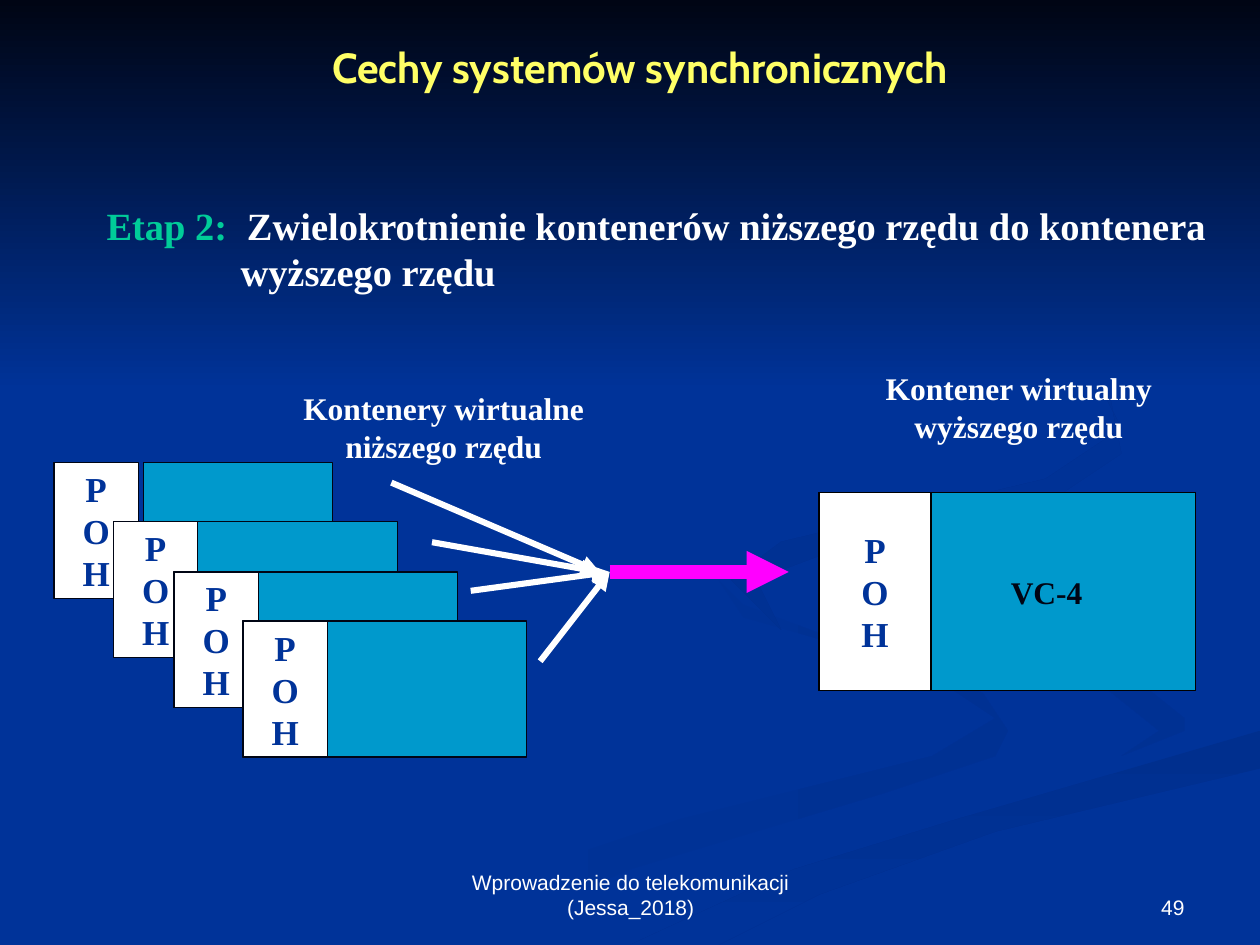
from lxml import etree
from pptx import Presentation
from pptx.dml.color import RGBColor
from pptx.enum.shapes import MSO_CONNECTOR, MSO_SHAPE
from pptx.enum.text import MSO_ANCHOR, PP_ALIGN
from pptx.oxml.ns import qn
from pptx.util import Cm, Pt

CENTER, RIGHT, JUSTIFY = PP_ALIGN.CENTER, PP_ALIGN.RIGHT, PP_ALIGN.JUSTIFY
TOP, MIDDLE, BOTTOM = MSO_ANCHOR.TOP, MSO_ANCHOR.MIDDLE, MSO_ANCHOR.BOTTOM
RECTANGLE, STRAIGHT = MSO_SHAPE.RECTANGLE, MSO_CONNECTOR.STRAIGHT

BLUE = RGBColor(0x00, 0x33, 0x99)
NIGHT = RGBColor(0x00, 0x05, 0x14)
SHADE = RGBColor(0x00, 0x2F, 0x8E)
SOFT_SHADE = RGBColor(0x00, 0x31, 0x93)
CYAN = RGBColor(0x00, 0x99, 0xCC)
GREEN = RGBColor(0x00, 0xCC, 0x99)
YELLOW = RGBColor(0xFF, 0xFF, 0x66)
MAGENTA = RGBColor(0xFF, 0x00, 0xFF)
WHITE = RGBColor(0xFF, 0xFF, 0xFF)
BLACK = RGBColor(0x00, 0x00, 0x00)
SERIF = "Times New Roman"

# Ribbons: start colour, end colour, angle, outline in hundredths of the slide width
RIBBONS = [
    (BLUE, SOFT_SHADE, 0, [
        (78, 55), (67, 51), (59, 48), (57, 46), (59, 49), (73, 53), (79, 57),
        (74, 60), (54, 65), (42, 69), (30, 75), (36, 75), (50, 69), (70, 63),
        (79, 60), (80, 58)]),
    (BLUE, SOFT_SHADE, 45, [
        (94, 57), (89, 53), (76, 50), (72, 46), (75, 50), (87, 54), (92, 58),
        (89, 60.5), (94, 58)]),
    (SHADE, BLUE, 90, [
        (50, 75), (57, 75), (65, 71), (79, 66), (100, 61), (100, 58), (76, 65),
        (63, 69)]),
    (SHADE, BLUE, 45, [
        (68, 43), (83, 40), (89, 36), (88, 31), (76, 23), (87, 30), (89, 34),
        (83, 38), (62, 43), (58, 46), (62, 50), (60, 46)]),
    (NIGHT, BLUE, 90, [(0, 0), (0, 31), (100, 31), (100, 0)]),
]


def add_background(slide, slide_width):
    slide.background.fill.solid()
    slide.background.fill.fore_color.rgb = BLUE
    for start, end, angle, outline in RIBBONS:
        builder = slide.shapes.build_freeform(*outline[0], scale=slide_width / 100)
        builder.add_line_segments(outline[1:])
        ribbon = builder.convert_to_shape()
        ribbon.shadow.inherit = False
        ribbon.line.fill.background()
        ribbon.fill.gradient()
        ribbon.fill.gradient_angle = (360 - angle) % 360
        for stop, color in zip(ribbon.fill.gradient_stops, (start, end)):
            stop.color.rgb = color


def add_run(paragraph, text, size, color, font=SERIF, bold=True):
    run = paragraph.add_run()
    run.text = text
    run.font.size, run.font.name, run.font.bold = Pt(size), font, bold
    run.font.color.rgb = color


def add_label(slide, box, text, size, color=WHITE, font=SERIF, bold=True,
              align=CENTER, anchor=TOP):
    frame = slide.shapes.add_textbox(*map(Cm, box)).text_frame
    frame.word_wrap = True
    frame.vertical_anchor = anchor
    frame.paragraphs[0].alignment = align
    add_run(frame.paragraphs[0], text, size, color, font, bold)


def add_stage(slide, box):
    frame = slide.shapes.add_textbox(*map(Cm, box)).text_frame
    frame.word_wrap = True
    frame.margin_right = 0
    frame.vertical_anchor = MIDDLE
    heading, continuation = frame.paragraphs[0], frame.add_paragraph()
    tabs = etree.SubElement(heading._p.get_or_add_pPr(), qn("a:tabLst"))
    etree.SubElement(tabs, qn("a:tab"), pos=str(Cm(2.83)), algn="l")
    continuation._p.get_or_add_pPr().set("marL", str(Cm(2.7)))
    heading.alignment = continuation.alignment = JUSTIFY
    add_run(heading, "Etap 2:", 22, GREEN)
    add_run(heading, "\tZwielokrotnienie kontenerów niższego rzędu do kontenera", 22, WHITE)
    add_run(continuation, "wyższego rzędu", 22, WHITE)


def add_block(slide, box, fill, outline):
    block = slide.shapes.add_shape(RECTANGLE, *map(Cm, box))
    block.shadow.inherit = False
    block.fill.solid()
    block.fill.fore_color.rgb = fill
    block.line.color.rgb = outline
    block.line.width = Pt(0.75)
    block.text_frame.vertical_anchor = MIDDLE
    block.text_frame.word_wrap = False
    return block


def add_container(slide, box, header_width, payload_offset=0, outline=NIGHT):
    """Payload block with the POH header over its left end; returns the payload."""
    left, top, width, height = box
    payload = add_block(slide, (left + payload_offset, top, width - payload_offset, height),
                        CYAN, outline)
    header = add_block(slide, (left, top, header_width, height), WHITE, outline).text_frame
    for index, letter in enumerate("POH"):
        paragraph = header.add_paragraph() if index else header.paragraphs[0]
        paragraph.alignment = CENTER
        add_run(paragraph, letter, 20, BLUE)
    return payload


def add_arrow(slide, start, end, color, width):
    arrow = slide.shapes.add_connector(STRAIGHT, *map(Cm, start + end))
    arrow.line.color.rgb = color
    arrow.line.width = Pt(width)
    etree.SubElement(arrow.line._get_or_add_ln(), qn("a:tailEnd"), type="triangle")
    etree.SubElement(arrow._element.spPr, qn("a:effectLst"))


def add_lower_order(slide, left, top):
    add_container(slide, (left, top, 5.62, 2.74), 1.7, payload_offset=1.81)
    for dx, dy in ((1.2, 1.2), (2.42, 2.21), (3.81, 3.2)):
        add_container(slide, (left + dx, top + dy, 5.72, 2.74), 1.7)
    add_label(slide, (left + 4.4, top - 1.6, 6.91, 1.78),
              "Kontenery wirtualne niższego rzędu", 18)


def add_multiplexing(slide, x, y):
    """Four thin arrows that meet at (x, y), and the thick one that leaves it."""
    add_arrow(slide, (x, y), (x + 3.61, y), MAGENTA, 8)
    for dx, dy, end_dx in ((-1.4, 1.8, 0), (-2.8, 0.38, 0),
                           (-3.58, -0.6, -0.2), (-4.4, -1.8, -0.2)):
        add_arrow(slide, (x + dx, y + dy), (x + end_dx, y), WHITE, 3.5)


def add_higher_order(slide, left, top):
    payload = add_container(slide, (left, top, 7.59, 3.99), 2.26, outline=BLACK).text_frame
    payload.margin_left = Cm(1.84)
    payload.paragraphs[0].alignment = CENTER
    add_run(payload.paragraphs[0], "VC-4", 18, NIGHT)
    add_label(slide, (left + 0.79, top - 2.61, 6.48, 1.78),
              "Kontener wirtualny wyższego rzędu", 18)


def add_footer(slide, top, height):
    for left, width, text, align in (
            (8.69, 8.05, "Wprowadzenie do telekomunikacji (Jessa_2018)", CENTER),
            (18.21, 5.92, "49", RIGHT)):
        add_label(slide, (left, top, width, height), text, 12, font="Arial",
                  bold=False, align=align, anchor=BOTTOM)


def main():
    prs = Presentation()
    prs.slide_width, prs.slide_height = Cm(25.4), Cm(19.05)
    slide = prs.slides.add_slide(prs.slide_layouts[6])
    add_background(slide, prs.slide_width)
    add_stage(slide, (1.9, 3.94, 22.91, 2.11))
    add_label(slide, (1.3, 0.71, 23.19, 1.27), "Cechy systemów synchronicznych", 24,
              YELLOW, "Cabin")
    add_lower_order(slide, 1.09, 9.32)
    add_multiplexing(slide, 12.29, 11.53)
    add_higher_order(slide, 16.51, 9.93)
    add_footer(slide, 17.35, 1.32)
    prs.save("out.pptx")


if __name__ == "__main__":
    main()
